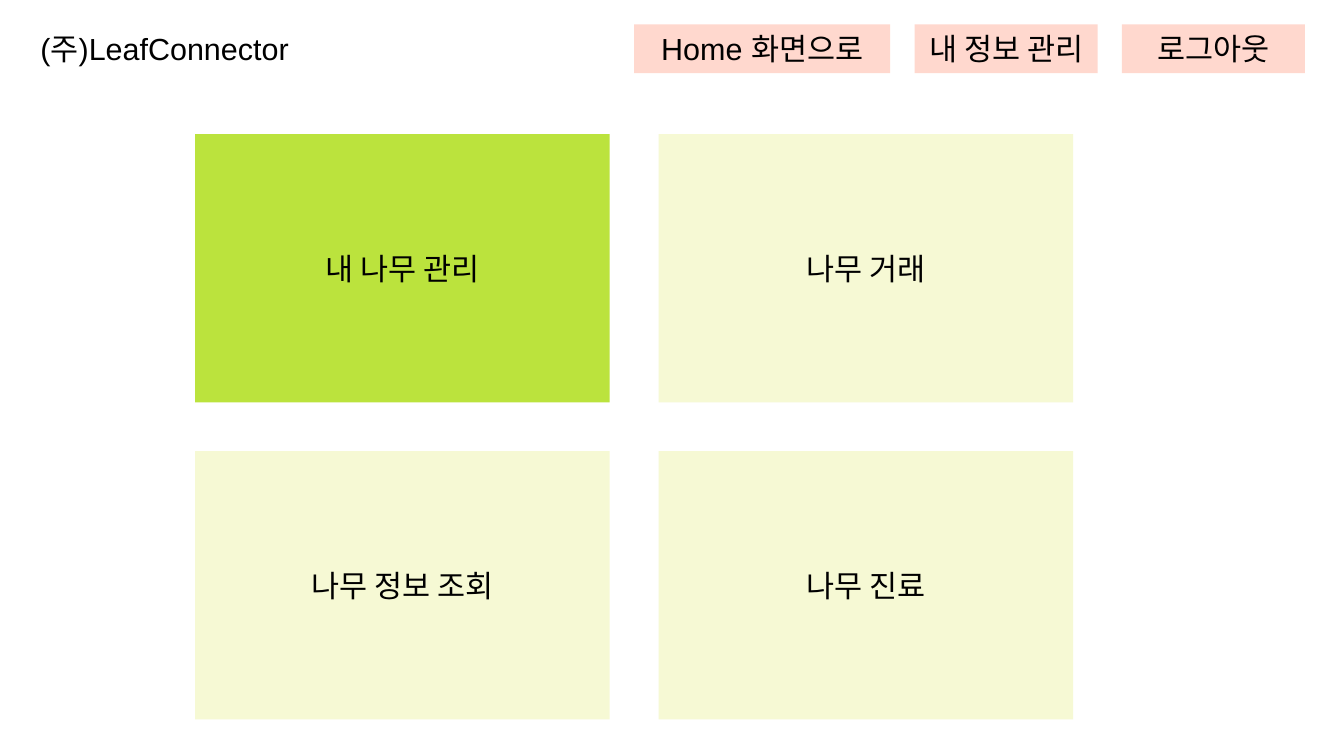
from pptx import Presentation
from pptx.dml.color import RGBColor
from pptx.enum.shapes import MSO_SHAPE
from pptx.enum.text import MSO_ANCHOR, MSO_AUTO_SIZE, PP_ALIGN
from pptx.util import Inches, Pt

BLACK = RGBColor(0x00, 0x00, 0x00)
WHITE = RGBColor(0xFF, 0xFF, 0xFF)
PINK = RGBColor(0xFF, 0xD8, 0xCE)
LIME = RGBColor(0xBB, 0xE3, 0x3D)
CREAM = RGBColor(0xF6, 0xF9, 0xD4)

NAVIGATION = [("Home 화면으로", 2.1), ("내 정보 관리", 1.5), ("로그아웃", 1.5)]
MENU = [["내 나무 관리", "나무 거래"], ["나무 정보 조회", "나무 진료"]]
ACTIVE_MENU = "내 나무 관리"


def format_box(box, text, fill):
    box.fill.solid()
    box.fill.fore_color.rgb = fill
    box.line.fill.background()
    frame = box.text_frame
    frame.word_wrap = False
    frame.auto_size = MSO_AUTO_SIZE.NONE
    frame.vertical_anchor = MSO_ANCHOR.MIDDLE
    para = frame.paragraphs[0]
    para.alignment = PP_ALIGN.CENTER
    span = para.add_run()
    span.text = text
    span.font.name = "Arial"
    span.font.size = Pt(18)
    span.font.color.rgb = BLACK


def place_title(page, text):
    title = page.shapes.title
    title.left, title.top = Inches(0.1), Inches(0.1)
    title.width, title.height = Inches(2.5), Inches(0.6)
    format_box(title, text, WHITE)
    title.text_frame.margin_left = title.text_frame.margin_right = Inches(0)


def add_button(page, text, left, top, width, height, fill):
    button = page.shapes.add_shape(
        MSO_SHAPE.RECTANGLE, Inches(left), Inches(top), Inches(width), Inches(height)
    )
    button.shadow.inherit = False
    format_box(button, text, fill)


def add_navigation(page):
    left, gap = 5.2, 0.2
    for text, width in NAVIGATION:
        add_button(page, text, left, 0.2, width, 0.4, PINK)
        left += width + gap


def add_menu(page):
    width, height, gap = 3.4, 2.2, 0.4
    for row, labels in enumerate(MENU):
        for column, text in enumerate(labels):
            left = 1.6 + column * (width + gap)
            top = 1.1 + row * (height + gap)
            fill = LIME if text == ACTIVE_MENU else CREAM
            add_button(page, text, left, top, width, height, fill)


def main():
    deck = Presentation()
    deck.slide_width, deck.slide_height = Inches(11.02), Inches(6.2)
    page = deck.slides.add_slide(deck.slide_layouts[5])
    place_title(page, "(주)LeafConnector")
    add_navigation(page)
    add_menu(page)
    deck.save("out.pptx")


if __name__ == "__main__":
    main()
